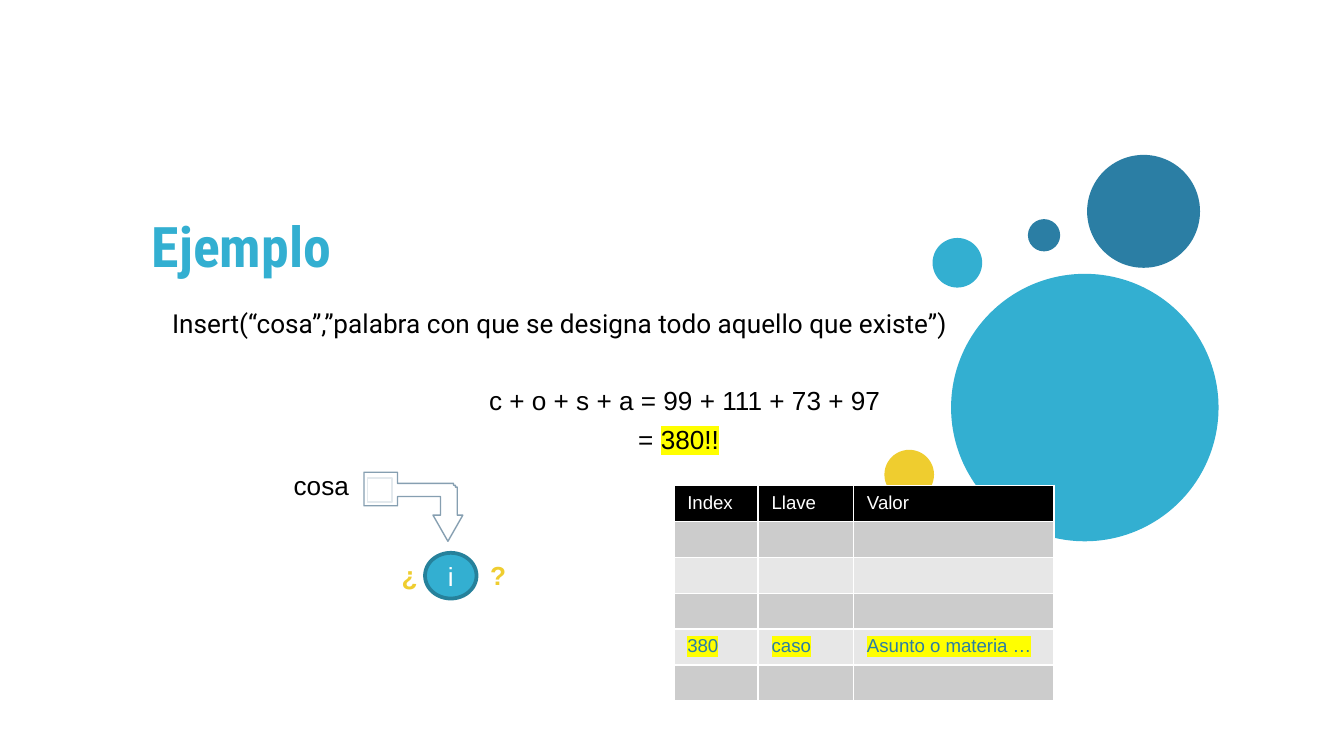
import math

from lxml import etree
from pptx import Presentation
from pptx import util as u
from pptx.dml.color import RGBColor
from pptx.enum import shapes, text
from pptx.oxml import ns

CYAN, BLUE, YELLOW = "33AFD1", "2B7EA4", "EFCD2F"
BLACK, WHITE, MARKER = "000000", "FFFFFF", "FFFF00"


def color(value):
    return RGBColor.from_string(value)


def add_solid_fill(parent, value):
    fill = etree.SubElement(parent, ns.qn("a:solidFill"))
    etree.SubElement(fill, ns.qn("a:srgbClr"), val=value)


class SlideBuilder:
    """Holds the text style and the current slide; lengths are points."""

    font, size = "Arial", 14

    def __init__(self, deck, layout):
        self.page = deck.slides.add_slide(deck.slide_layouts[layout])

    def span(self, para, wording, ink=BLACK, size=None, font=None, bold=False, marker=None):
        span = para.add_run()
        span.text = wording
        span.font.size = u.Pt(size or self.size)
        span.font.bold = bold
        span.font.color.rgb = color(ink)
        span.font.name = font or self.font
        if marker:
            mark = etree.Element(ns.qn("a:highlight"))
            etree.SubElement(mark, ns.qn("a:srgbClr"), val=marker)
            span.font._element.find(ns.qn("a:solidFill")).addnext(mark)

    def placeholder(self, index, left, top, width, height, wording, **style):
        box = self.page.placeholders[index]
        box.left, box.top, box.width, box.height = map(u.Pt, (left, top, width, height))
        frame = box.text_frame
        frame.auto_size = text.MSO_AUTO_SIZE.NONE
        frame.vertical_anchor = text.MSO_ANCHOR.TOP
        frame.margin_left = frame.margin_right = u.Pt(7.2)
        frame.margin_top = frame.margin_bottom = u.Pt(7.2)
        para = frame.paragraphs[0]
        para.alignment = text.PP_ALIGN.LEFT
        para.space_before = u.Pt(0)
        self.span(para, wording, **style)
        return para

    def label(self, left, top, width, *spans, wrap=False, tab=None):
        box = self.page.shapes.add_textbox(*map(u.Pt, (left, top, width, 24.2)))
        box.text_frame.word_wrap = wrap
        box.text_frame.auto_size = text.MSO_AUTO_SIZE.SHAPE_TO_FIT_TEXT
        para = box.text_frame.paragraphs[0]
        if tab:
            stops = etree.SubElement(para._p.get_or_add_pPr(), ns.qn("a:tabLst"))
            etree.SubElement(stops, ns.qn("a:tab"), pos=str(u.Pt(tab)), algn="l")
        for wording, style in spans:
            self.span(para, wording, **style)

    def ellipse(self, left, top, width, height, fill, line=None):
        oval = self.page.shapes.add_shape(
            shapes.MSO_SHAPE.OVAL, *map(u.Pt, (left, top, width, height)))
        oval.shadow.inherit = False
        oval.fill.solid()
        oval.fill.fore_color.rgb = color(fill)
        if line:
            oval.line.color.rgb = color(line)
            oval.line.width = u.Pt(2)
        else:
            oval.line.fill.background()
        return oval

    def outline(self, points, line):
        pen = self.page.shapes.build_freeform(*points[0], scale=u.Pt(1))
        pen.add_line_segments(points[1:], close=True)
        shape = pen.convert_to_shape()
        shape.shadow.inherit = False
        shape.fill.background()
        shape.line.color.rgb = color(line)
        shape.line.width = u.Pt(0.75)

    def cell(self, cell, wording, fill, **style):
        cell.fill.solid()
        cell.fill.fore_color.rgb = color(fill)
        para = cell.text_frame.paragraphs[0]
        if wording:
            self.span(para, wording, size=10, **style)
        else:
            etree.SubElement(para._p, ns.qn("a:endParaRPr"), sz="1000")
        # Borders go before the fill in the cell properties
        props = cell._tc.get_or_add_tcPr()
        for place, side in enumerate(("a:lnL", "a:lnR", "a:lnT", "a:lnB")):
            border = etree.Element(ns.qn(side), w=str(u.Pt(1)))
            add_solid_fill(border, WHITE)
            props.insert(place, border)

    def table(self, left, top, widths, row_height, rows):
        grid = self.page.shapes.add_table(
            len(rows), len(widths), u.Pt(left), u.Pt(top),
            u.Pt(sum(widths)), u.Pt(row_height * len(rows))).table
        grid.first_row = grid.horz_banding = False
        for column, width in zip(grid.columns, widths):
            column.width = u.Pt(width)
        for r, row in enumerate(rows):
            grid.rows[r].height = u.Pt(row_height)
            for c, wording in enumerate(row):
                if r == 0:
                    self.cell(grid.cell(r, c), wording, BLACK, ink=WHITE)
                else:
                    band = "CCCCCC" if r % 2 else "E7E7E7"
                    self.cell(grid.cell(r, c), wording, band, ink=BLUE, marker=MARKER)


def arc(x, y, radius):
    """Points of a quarter turn from the right of the centre up to its top."""
    angles = [math.radians(step * 10) for step in range(10)]
    return [(x + radius * math.cos(a), y - radius * math.sin(a)) for a in angles]


def main():
    deck = Presentation()
    deck.slide_width, deck.slide_height = u.Pt(720), u.Pt(405)
    slide = SlideBuilder(deck, 0)

    # Decorative bubbles
    for left, top, diameter, fill in (
            (509.5, 146.7, 143.3, CYAN), (473.8, 241, 26.6, YELLOW),
            (499.6, 127.5, 26.6, CYAN), (582.4, 83, 60.5, BLUE),
            (550.7, 117.4, 17.3, BLUE)):
        slide.ellipse(left, top, diameter, diameter, fill)

    # Title and example call
    slide.placeholder(0, 74.2, 106, 407.5, 45.4, "Ejemplo",
                      ink=CYAN, size=30, font="Roboto Condensed", bold=True)
    call = slide.placeholder(
        1, 74.2, 157.7, 501.8, 141.1,
        "Insert(“cosa”,”palabra con que se designa todo aquello que existe”)",
        font="Roboto")
    props = call._p.get_or_add_pPr()
    props.set("marL", str(u.Pt(10.8)))
    props.set("indent", "0")

    # Key entering the hash function
    slide.label(150.2, 247.7, 44.6, ("cosa", {}))
    slide.outline(
        [(248.4, 276.5), (244.8, 276.5)] + arc(240.6, 262.8, 4.2)
        + [(212.6, 258.6), (212.6, 253.4), (194.9, 253.4), (194.9, 271.4),
           (212.6, 271.4), (212.6, 266.4), (236.4, 266.4), (236.4, 276.5),
           (232.4, 276.5), (240.5, 290.4)], "869FB1")
    slide.outline([(210.4, 255.6), (196.7, 255.6), (196.7, 269.3), (210.4, 269.3)],
                  "E3E9ED")

    # Unknown index
    index = slide.ellipse(227.7, 296.2, 27.6, 24.5, CYAN, "26819B")
    index.text_frame.vertical_anchor = text.MSO_ANCHOR.MIDDLE
    para = index.text_frame.paragraphs[0]
    para.alignment = text.PP_ALIGN.CENTER
    slide.span(para, "i", ink=WHITE)
    slide.label(208.1, 296, 85.7, ("¿\t?", {"ink": YELLOW, "bold": True}),
                wrap=True, tab=47.4)

    # Sum of the character codes
    slide.label(254.9, 202.3, 226.8, ("c + o + s + a = 99 + 111 + 73 + 97", {}))
    slide.label(334.8, 223.2, 58.3, ("= ", {}), ("380!!", {"marker": MARKER}))

    # Hash table
    blank = ("", "", "")
    slide.table(361, 260.1, (45.2, 51.1, 107.3), 19.2, [
        ("Index", "Llave", "Valor"), blank, blank, blank,
        ("380", "caso", "Asunto o materia …"), blank])

    deck.save("out.pptx")


if __name__ == "__main__":
    main()
